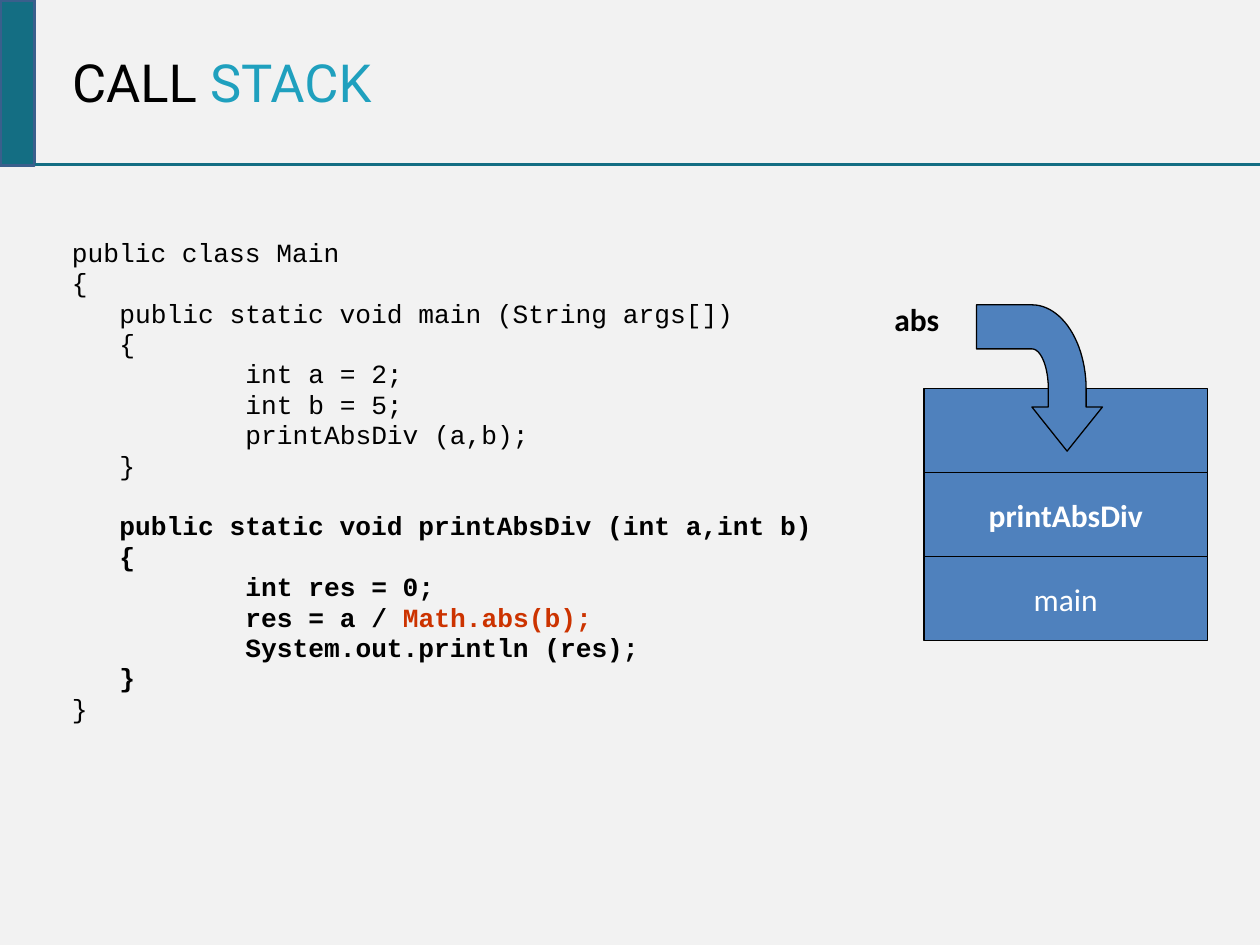
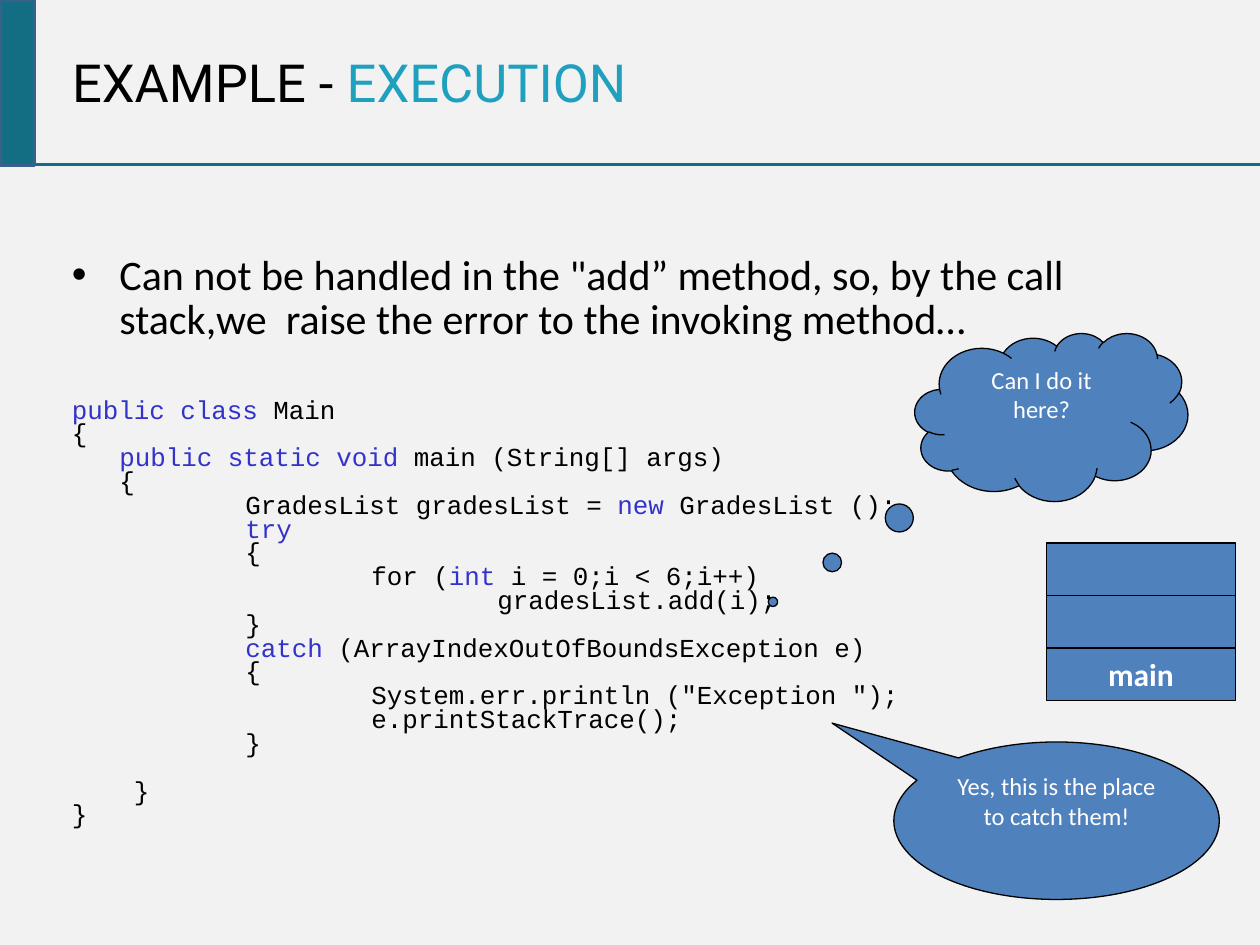
from math import cos, pi, sin

from lxml import etree
from pptx import Presentation
from pptx import util as u
from pptx.dml.color import RGBColor
from pptx.enum import shapes, text
from pptx.oxml import ns

Pt = u.Pt
HUES = {
    "paper": "F2F2F2", "ink": "000000", "white": "FFFFFF", "teal": "146E83",
    "aqua": "1FA0BE", "edge": "3A5F8C", "blue": "4F81BD", "red": "CC3300",
    "key": "3333CC",
}
KIND = shapes.MSO_SHAPE
ALIGN = text.PP_ALIGN
MIDDLE = text.MSO_ANCHOR.MIDDLE
HANG = 27.15
TAB = 72


def hue(name):
    return RGBColor.from_string(HUES[name])


def write(frame, words, size=18, font="Calibri", color="ink", hot=None,
          bold=False, align=ALIGN.LEFT, pitch=None, gap=0, left=0, first=0,
          bullet=None):
    for row, line in enumerate(words.split("\n")):
        para = frame.paragraphs[0]
        if para.runs:
            para = frame.add_paragraph()
        para.alignment = align
        para.space_before = Pt(gap if row == 0 else 0)
        if pitch:
            para.line_spacing = pitch
        depth = line.count("\t")
        indent = HANG + TAB * (depth - 1) if depth else left
        props = para._p.get_or_add_pPr()
        props.set("marL", str(Pt(indent)))
        props.set("indent", str(Pt(first)))
        if bullet:
            etree.SubElement(props, ns.qn("a:buFont")).set("typeface", "Arial")
            etree.SubElement(props, ns.qn("a:buChar")).set("char", bullet)
        for part, chunk in enumerate(line.lstrip("\t").split("|")):
            if chunk:
                run = para.add_run()
                run.text = chunk
                run.font.size = Pt(size)
                run.font.name = font
                run.font.bold = bold
                run.font.color.rgb = hue(hot if part % 2 else color)


class Deck:
    def __init__(self):
        self.show = Presentation()
        self.show.slide_width, self.show.slide_height = Pt(720), Pt(540)
        fill = self.show.slide_master.background.fill
        fill.solid()
        fill.fore_color.rgb = hue("paper")

    def page(self, title):
        self.slide = self.show.slides.add_slide(self.show.slide_layouts[5])
        head = self.slide.shapes.title
        head.left, head.top, head.width, head.height = map(Pt, (34, 0, 587, 93))
        frame = head.text_frame
        frame.auto_size = text.MSO_AUTO_SIZE.NONE
        frame.word_wrap = True
        frame.vertical_anchor = MIDDLE
        write(frame, title, size=30, font="Roboto", hot="aqua")
        self.shape(KIND.RECTANGLE, 0, 0, 19.8, 94.5, "teal", "edge", 2)
        self.rule(19.8, 94.25, 720, 94.25)

    def paint(self, shape, fill="blue", line="ink", width=0.75):
        shape.shadow.inherit = False
        shape.fill.solid()
        shape.fill.fore_color.rgb = hue(fill)
        shape.line.color.rgb = hue(line)
        shape.line.width = Pt(width)

    def shape(self, kind, x, y, w, h, *look):
        shape = self.slide.shapes.add_shape(kind, *map(Pt, (x, y, w, h)))
        self.paint(shape, *look)
        return shape

    def rule(self, *ends):
        line = self.slide.shapes.add_connector(
            shapes.MSO_CONNECTOR.STRAIGHT, *map(Pt, ends))
        line.line.color.rgb = hue("teal")
        line.line.width = Pt(1.75)
        etree.SubElement(line._element.spPr, ns.qn("a:effectLst"))

    def box(self, x, y, w, h, inset=3.6, wrap=True):
        frame = self.slide.shapes.add_textbox(*map(Pt, (x, y, w, h))).text_frame
        frame.word_wrap = wrap
        frame.margin_top = Pt(inset)
        return frame

    def body(self, inset):
        return self.box(34, 111.6, 652, 411, inset)

    def stack(self, x, y, w, h, calls):
        for row, (name, bold) in enumerate(calls):
            cell = self.shape(KIND.RECTANGLE, x, y + row * h, w, h)
            if name:
                frame = cell.text_frame
                frame.word_wrap = False
                frame.vertical_anchor = MIDDLE
                write(frame, name, color="white", bold=bold, align=ALIGN.CENTER)

    def bubble(self, kind, x, y, w, h, tip, words):
        shape = self.shape(kind, x, y, w, h)
        shape.adjustments[0], shape.adjustments[1] = tip
        frame = shape.text_frame
        frame.word_wrap = True
        frame.vertical_anchor = text.MSO_ANCHOR.TOP
        write(frame, words, size=14, color="white", align=ALIGN.CENTER)

    def arrow(self):
        mid, base, steps = 589.7, 222.5, 24

        def arc(wide, high):
            turns = [pi / 2 * n / steps for n in range(steps + 1)]
            return [(mid + wide * cos(t), base - high * sin(t)) for t in turns]

        outer, inner = arc(31, 48.3), arc(9.4, 23.1)[::-1]
        dots = [(609.8, 257.8), (630, 232.6), (620.7, 232.6), *outer,
                (558, 174.2), (558, 199.4), *inner,
                (599.1, 232.6), (589.7, 232.6)]
        pen = self.slide.shapes.build_freeform(
            *[Pt(n) for n in dots[0]], scale=1.0)
        pen.add_line_segments([(Pt(x), Pt(y)) for x, y in dots[1:]], close=True)
        self.paint(pen.convert_to_shape())


def calls(deck):
    deck.page("CALL |STACK")
    frame = deck.body(23.9)
    code = dict(size=15, font="Courier New", hot="red", pitch=Pt(17.37))
    write(frame, """public class Main
{
\tpublic static void main (String args[])
\t{
\t\tint a = 2;
\t\tint b = 5;
\t\tprintAbsDiv (a,b);
\t}""", **code)
    write(frame, """\tpublic static void printAbsDiv (int a,int b)
\t{
\t\tint res = 0;
\t\tres = a / |Math.abs(b);|
\t\tSystem.out.println (res);
\t}""", bold=True, gap=17.37, **code)
    write(frame, "}", **code)
    deck.stack(528, 222, 162, 48,
               [("", False), ("printAbsDiv", True), ("main", False)])
    write(deck.box(504, 168, 40, 29, wrap=False), "abs", bold=True)
    deck.arrow()


def catch(deck):
    deck.page("EXAMPLE - |EXECUTION")
    frame = deck.body(34.2)
    write(frame, 'Can not be handled in the "add” method, so, by the call '
          "stack,we  raise the error to the invoking method…",
          size=24, pitch=0.88, left=HANG, first=-HANG, bullet="•")
    code = dict(size=14.8, font="Courier New", hot="key", pitch=Pt(13.6))
    write(frame, """|public class |Main
{
\t|public static void |main (String[] args)
\t{
\t\tGradesList gradesList = |new |GradesList ();
\t\t|try|
\t\t{
\t\t\tfor (|int| i = 0;i < 6;i++)
\t\t\t\tgradesList.add(i);
\t\t}
\t\t|catch| (ArrayIndexOutOfBoundsException e)
\t\t{
\t\t\tSystem.err.println ("Exception ");
\t\t\te.printStackTrace();
\t\t}""", gap=32.3, **code)
    write(frame, "}", gap=13.6, left=35.5, **code)
    write(frame, "}", **code)
    deck.stack(598, 310.3, 108, 30, [("", False), ("", False), ("main", True)])
    deck.bubble(KIND.CLOUD_CALLOUT, 522.8, 190.3, 156, 96, (-1.02, 1.1),
                "Can I do it here?")
    deck.bubble(KIND.OVAL_CALLOUT, 510.8, 424, 186, 90, (-0.69, -0.62),
                "Yes, this is the place to catch them!")


def main():
    deck = Deck()
    calls(deck)
    catch(deck)
    deck.show.save("out.pptx")


if __name__ == "__main__":
    main()
